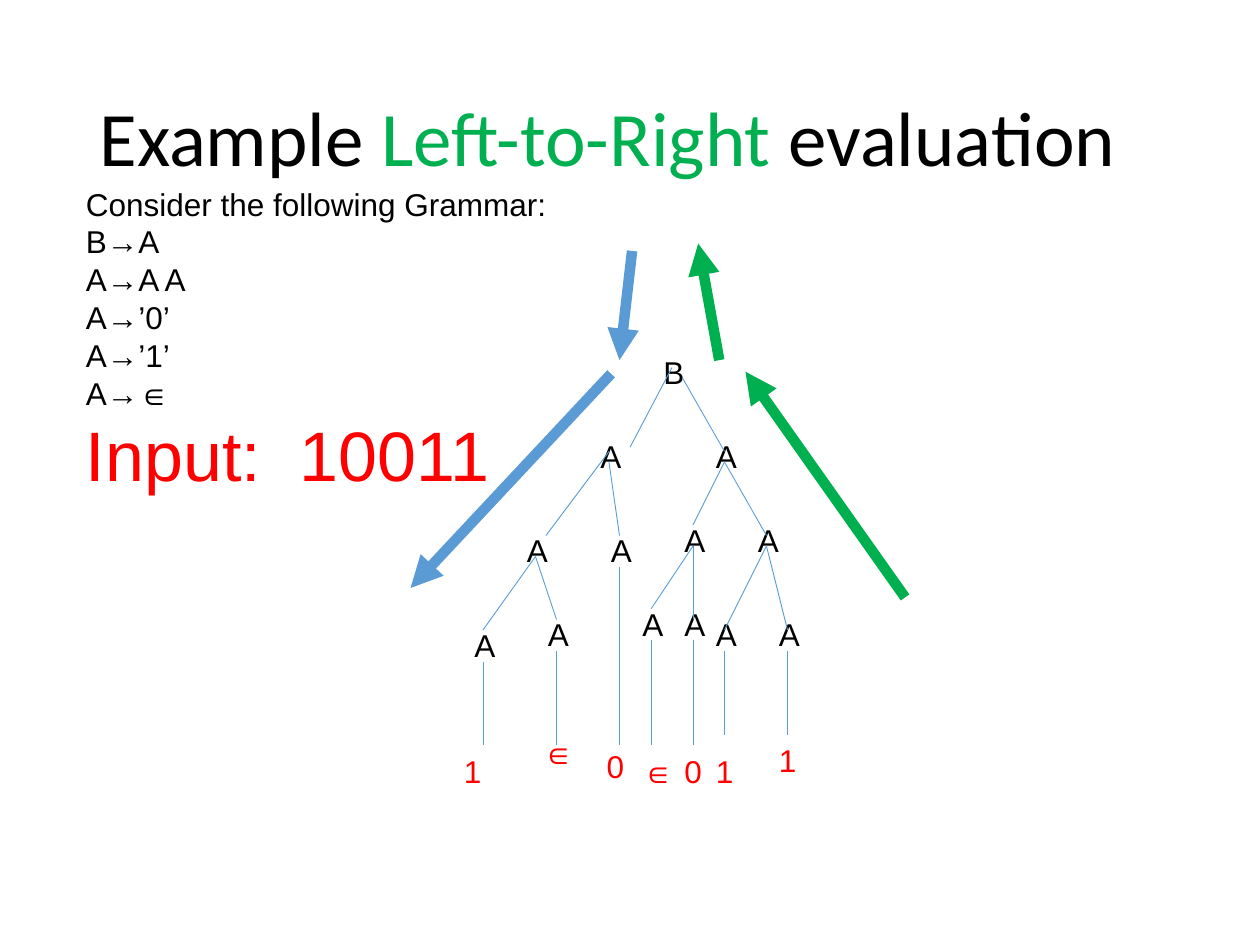
from lxml import etree
from pptx import Presentation
from pptx.dml.color import RGBColor
from pptx.enum.shapes import MSO_CONNECTOR, MSO_SHAPE
from pptx.enum.text import MSO_ANCHOR, PP_ALIGN
from pptx.oxml.ns import qn
from pptx.util import Emu, Pt

STRAIGHT = MSO_CONNECTOR.STRAIGHT
RECTANGLE = MSO_SHAPE.RECTANGLE
LEFT = PP_ALIGN.LEFT
TOP, MIDDLE = MSO_ANCHOR.TOP, MSO_ANCHOR.MIDDLE

BLACK = RGBColor(0x00, 0x00, 0x00)
WHITE = RGBColor(0xFF, 0xFF, 0xFF)
RED = RGBColor(0xFF, 0x00, 0x00)
GREEN = RGBColor(0x00, 0xB0, 0x50)
BLUE = RGBColor(0x5B, 0x9B, 0xD5)

PX = 7620  # EMU; 120 px to the inch
LABEL_W, LABEL_H = 90, 48


def px(*lengths):
    return [Emu(length * PX) for length in lengths]


def style(paragraph, size, color, face="Arial"):
    paragraph.alignment = LEFT
    paragraph.font.name = face
    paragraph.font.size = Pt(size)
    paragraph.font.color.rgb = color


def add_label(slide, x, y, text, color):
    frame = slide.shapes.add_textbox(*px(x, y, LABEL_W, LABEL_H)).text_frame
    frame.word_wrap = True
    frame.text = text
    style(frame.paragraphs[0], 18, color)


def add_line(slide, x1, y1, x2, y2, color, width):
    line = slide.shapes.add_connector(STRAIGHT, *px(x1, y1, x2, y2))
    line.line.color.rgb = color
    line.line.width = Pt(width)
    etree.SubElement(line._element.spPr, qn("a:effectLst"))
    return line


def add_title(slide, x, y, w, h):
    frame = slide.shapes.add_textbox(*px(x, y, w, h)).text_frame
    frame.word_wrap = True
    frame.vertical_anchor = MIDDLE
    heading = frame.paragraphs[0]
    style(heading, 44, BLACK, "Calibri")
    heading.line_spacing = 0.9
    for text, color in (("Example ", BLACK), ("Left-to-Right ", GREEN),
                        ("evaluation", BLACK)):
        run = heading.add_run()
        run.text = text
        run.font.color.rgb = color


def add_grammar(slide, x, y, w, h):
    panel = slide.shapes.add_shape(RECTANGLE, *px(x, y, w, h))
    panel.shadow.inherit = False
    panel.fill.solid()
    panel.fill.fore_color.rgb = WHITE
    panel.line.fill.background()
    frame = panel.text_frame
    frame.word_wrap = True
    frame.vertical_anchor = TOP
    rules = ["Consider the following Grammar: B→A", "A→A A", "A→’0’", "A→’1’", "A→∈"]
    frame.text = "\n".join(rules + ["Input:  10011"])
    *rule_lines, input_line = frame.paragraphs
    for rule in rule_lines:
        style(rule, 18, BLACK)
    style(input_line, 40, RED)


def add_parse_tree(slide, x, y):
    """Draw the tree with the top left corner of its box at x, y."""
    root = (190, 0)
    inner_nodes = [(130, 80), (240, 80), (60, 170), (140, 170), (210, 160),
                   (280, 160), (10, 260), (80, 250), (170, 240), (210, 240),
                   (240, 250), (300, 250)]
    leaves = [(0, 380, "1"), (75, 362, "∈"), (136, 376, "0"), (170, 380, "∈"),
              (210, 380, "0"), (240, 380, "1"), (300, 370, "1")]
    branches = [(210, 20, 170, 96), (220, 30, 260, 100),
                (150, 100, 90, 180), (150, 110, 160, 180),
                (260, 110, 230, 170), (260, 110, 300, 180),
                (80, 200, 30, 270), (80, 200, 100, 260),
                (230, 190, 190, 250), (230, 190, 230, 260),
                (300, 190, 260, 270), (300, 190, 320, 270)]
    stems = [(30, 300, 380), (100, 290, 380), (160, 210, 380), (190, 280, 380),
             (230, 280, 380), (260, 290, 370), (320, 290, 370)]

    add_label(slide, x + root[0], y + root[1], "B", BLACK)
    for dx, dy in inner_nodes:
        add_label(slide, x + dx, y + dy, "A", BLACK)
    for x1, y1, x2, y2 in branches + [(sx, top, sx, end) for sx, top, end in stems]:
        add_line(slide, x + x1, y + y1, x + x2, y + y2, BLUE, 0.5)
    for dx, dy, symbol in leaves:
        add_label(slide, x + dx, y + dy, symbol, RED)


def add_traversal_arrows(slide, x, y):
    """Draw the way down (blue) and up (green) around the tree."""
    arrows = [(191, 124, 0, 328, BLUE), (471, 337, 319, 122, GREEN),
              (211, 7, 199, 111, BLUE), (294, 111, 274, 0, GREEN)]
    for x1, y1, x2, y2, color in arrows:
        arrow = add_line(slide, x + x1, y + y1, x + x2, y + y2, color, 6)
        outline = arrow.line._get_or_add_ln()
        etree.SubElement(outline, qn("a:tailEnd"), type="triangle")


def main():
    deck = Presentation()
    deck.slide_width, deck.slide_height = px(1200, 900)
    slide = deck.slides.add_slide(deck.slide_layouts[6])
    add_title(slide, 83, 48, 1034, 174)
    add_grammar(slide, 70, 170, 520, 347)
    add_parse_tree(slide, 430, 330)
    add_traversal_arrows(slide, 391, 232)
    deck.save("out.pptx")


if __name__ == "__main__":
    main()
